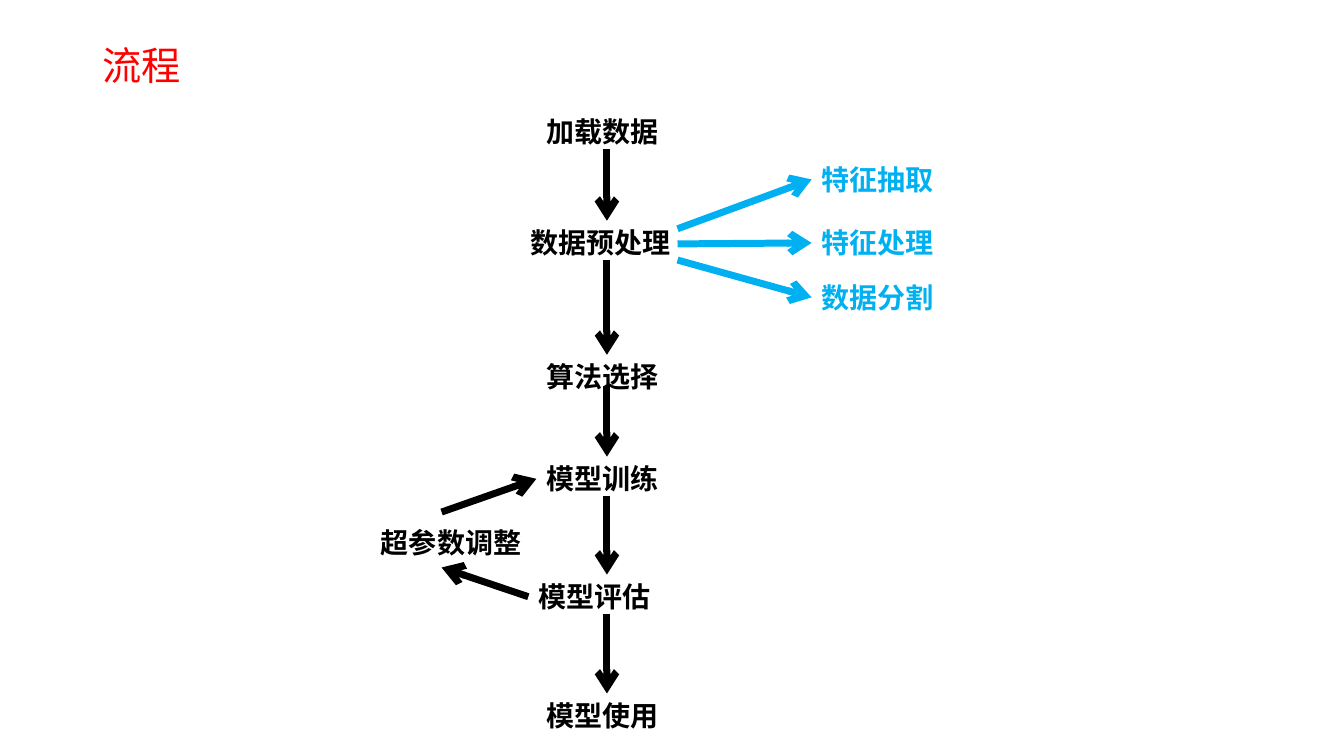
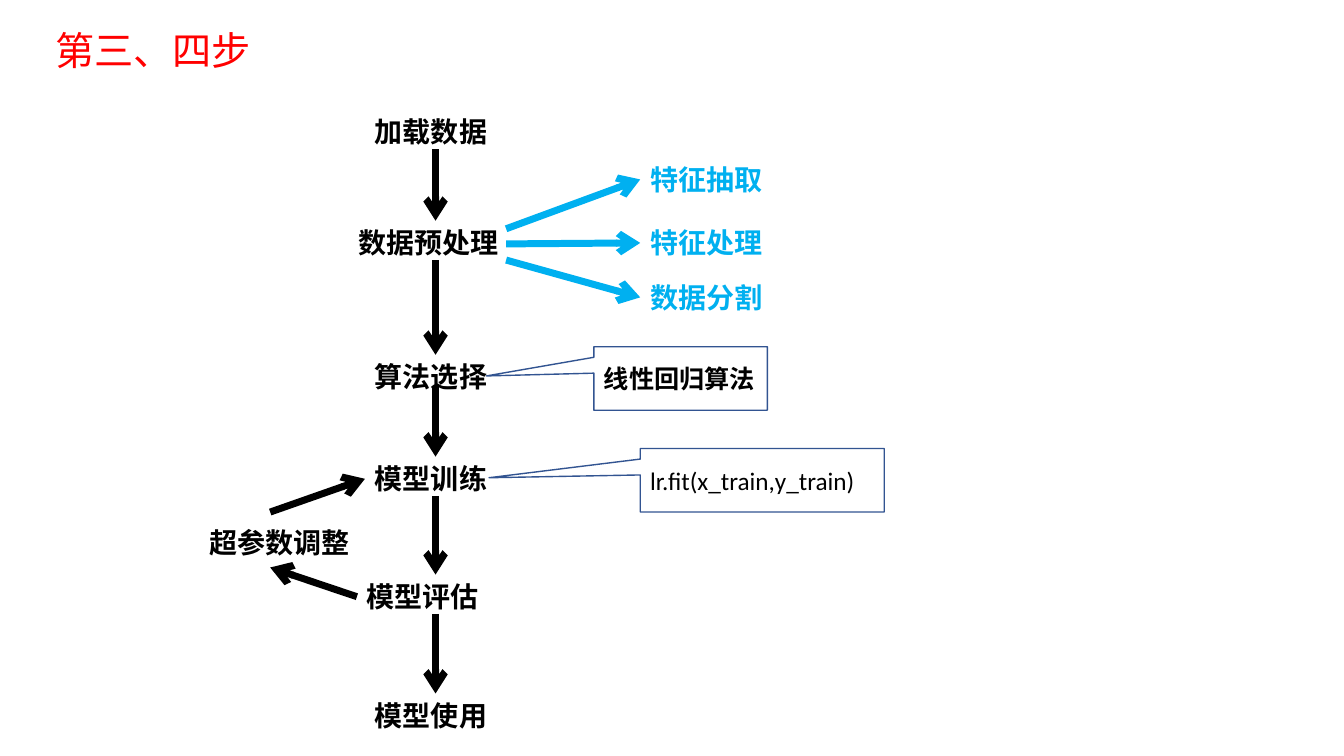
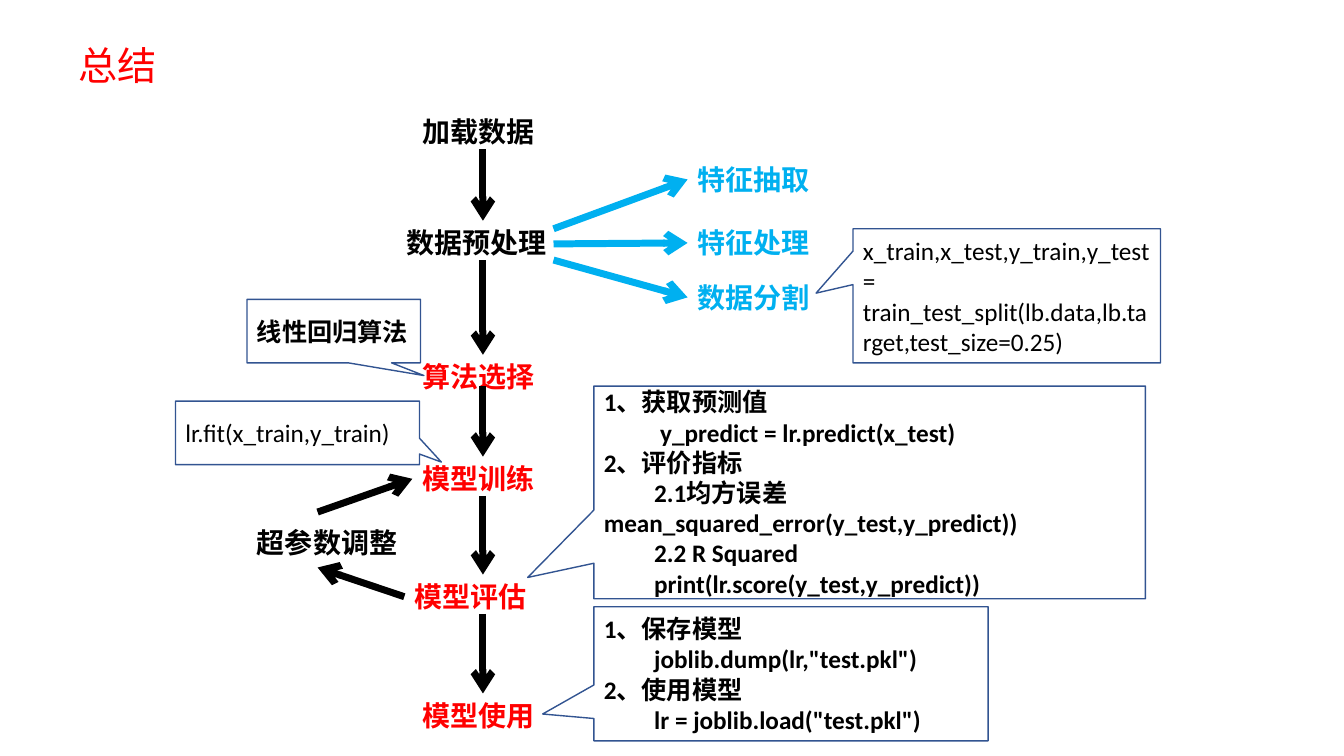
import lxml.etree
import pptx
import pptx.dml.color
import pptx.enum.shapes
import pptx.enum.text
import pptx.oxml.ns
import pptx.util

Inches = pptx.util.Inches
Pt = pptx.util.Pt
qn = pptx.oxml.ns.qn

BLACK, RED, BLUE, WHITE, OUTLINE = "000000", "FF0000", "00B0F0", "FFFFFF", "325491"
LATIN, CJK = "Calibri", "Noto Sans CJK SC"


def rgb(value):
    return pptx.dml.color.RGBColor.from_string(value)


def write(sp, lines, size, color, bold=True, font=LATIN):
    tf = sp.text_frame
    tf.word_wrap = True
    for i, (text, indent) in enumerate(lines):
        p = tf.paragraphs[0] if i == 0 else tf.add_paragraph()
        p.text = text
        p.alignment = pptx.enum.text.PP_ALIGN.LEFT
        p.font.size = Pt(size)
        p.font.bold = bold
        p.font.color.rgb = rgb(color)
        p.font.name = font
        pPr = p._p.get_or_add_pPr()
        pPr.set("indent", str(Inches(indent)))
        ea = lxml.etree.SubElement(pPr.find(qn("a:defRPr")), qn("a:ea"))
        ea.set("typeface", CJK)


# Horizontal values are offsets from the main vertical axis.
labels = [
    ("加载数据", -0.7, 1.09, 1.33, BLACK),
    ("数据预处理", -0.86, 2.19, 1.61, BLACK),
    ("算法选择", -0.7, 3.52, 1.33, BLACK),
    ("模型训练", -0.7, 4.53, 1.33, BLACK),
    ("模型评估", -0.78, 5.7, 1.41, BLACK),
    ("模型使用", -0.7, 6.88, 1.33, BLACK),
    ("超参数调整", -2.34, 5.16, 1.61, BLACK),
    ("特征抽取", 2.03, 1.56, 1.33, BLUE),
    ("特征处理", 2.03, 2.19, 1.33, BLUE),
    ("数据分割", 2.03, 2.73, 1.33, BLUE),
]
arrows = [
    (0, 1.48, 0, 2.19, BLACK),
    (0, 2.58, 0, 3.52, BLACK),
    (0, 3.83, 0, 4.53, BLACK),
    (0, 4.92, 0, 5.7, BLACK),
    (0, 6.09, 0, 6.88, BLACK),
    (-1.64, 5.08, -0.7, 4.75, BLACK),
    (-0.78, 5.92, -1.64, 5.63, BLACK),
    (0.7, 2.27, 2.03, 1.78, BLUE),
    (0.7, 2.42, 2.03, 2.41, BLUE),
    (0.7, 2.58, 2.03, 2.95, BLUE),
]

algorithm = [("线性回归算法", 0)]
fit = [("lr.fit(x_train,y_train)", 0)]
split = [("x_train,x_test,y_train,y_test = "
          "train_test_split(lb.data,lb.target,test_size=0.25)", 0)]
evaluation = [
    ("1、获取预测值", 0),
    ("y_predict = lr.predict(x_test)", 0.56),
    ("2、评价指标", 0),
    ("2.1均方误差\vmean_squared_error(y_test,y_predict))", 0.5),
    ("2.2 R Squared", 0.5),
    ("print(lr.score(y_test,y_predict))", 0.5),
]
usage = [
    ("1、保存模型", 0),
    ('joblib.dump(lr,"test.pkl")', 0.5),
    ("2、使用模型", 0),
    ('lr = joblib.load("test.pkl")', 0.5),
]

slides = [
    ("流程", (0.92, 0.36, 0.99), 6.02, [], []),
    ("第三、四步", (0.45, 0.21, 2.17), 4.32, [], [
        (algorithm, (5.89, 3.44, 1.72, 0.63), (-1.12, -0.04), True),
        (fit, (6.35, 4.45, 2.42, 0.63), (-1.12, -0.04), False),
    ]),
    ("总结", (0.68, 0.36, 0.99), 4.79,
     ["算法选择", "模型训练", "模型评估", "模型使用"], [
        (usage, (5.89, 6.02, 3.91, 1.33), (-0.63, 0.3), True),
        (evaluation, (5.89, 3.83, 5.47, 2.11), (-0.62, 0.4), True),
        (algorithm, (2.45, 2.97, 1.72, 0.63), (0.52, 0.7), True),
        (fit, (1.74, 3.98, 2.42, 0.63), (0.59, 0.46), False),
        (split, (8.46, 2.27, 3.05, 1.33), (-0.62, -0.02), False),
    ]),
]

prs = pptx.Presentation()
prs.slide_width = Inches(13.33)
prs.slide_height = Inches(7.5)

for title, (left, top, width), axis, highlighted, callouts in slides:
    s = prs.slides.add_slide(prs.slide_layouts[6])
    sp = s.shapes.add_textbox(Inches(left), Inches(top), Inches(width), Inches(0.57))
    write(sp, [(title, 0)], 28, RED, False, CJK)

    for text, dx, y, w, color in labels:
        sp = s.shapes.add_textbox(Inches(axis + dx), Inches(y), Inches(w), Inches(0.44))
        write(sp, [(text, 0)], 20, RED if text in highlighted else color)

    for x1, y1, x2, y2, color in arrows:
        line = s.shapes.add_connector(
            pptx.enum.shapes.MSO_CONNECTOR.STRAIGHT,
            Inches(axis + x1), Inches(y1), Inches(axis + x2), Inches(y2))
        line.line.color.rgb = rgb(color)
        line.line.width = Pt(5)
        spPr = line._element.spPr
        tail = lxml.etree.SubElement(spPr.find(qn("a:ln")), qn("a:tailEnd"))
        tail.set("type", "arrow")
        lxml.etree.SubElement(spPr, qn("a:effectLst"))

    for lines, box, tip, bold in callouts:
        sp = s.shapes.add_shape(
            pptx.enum.shapes.MSO_SHAPE.RECTANGULAR_CALLOUT, *map(Inches, box))
        sp.shadow.inherit = False
        sp.adjustments[0], sp.adjustments[1] = tip
        sp.fill.solid()
        sp.fill.fore_color.rgb = rgb(WHITE)
        sp.line.color.rgb = rgb(OUTLINE)
        sp.line.width = Pt(1)
        sp.text_frame.vertical_anchor = pptx.enum.text.MSO_ANCHOR.MIDDLE
        write(sp, lines, 18, BLACK, bold)

prs.save("out.pptx")
